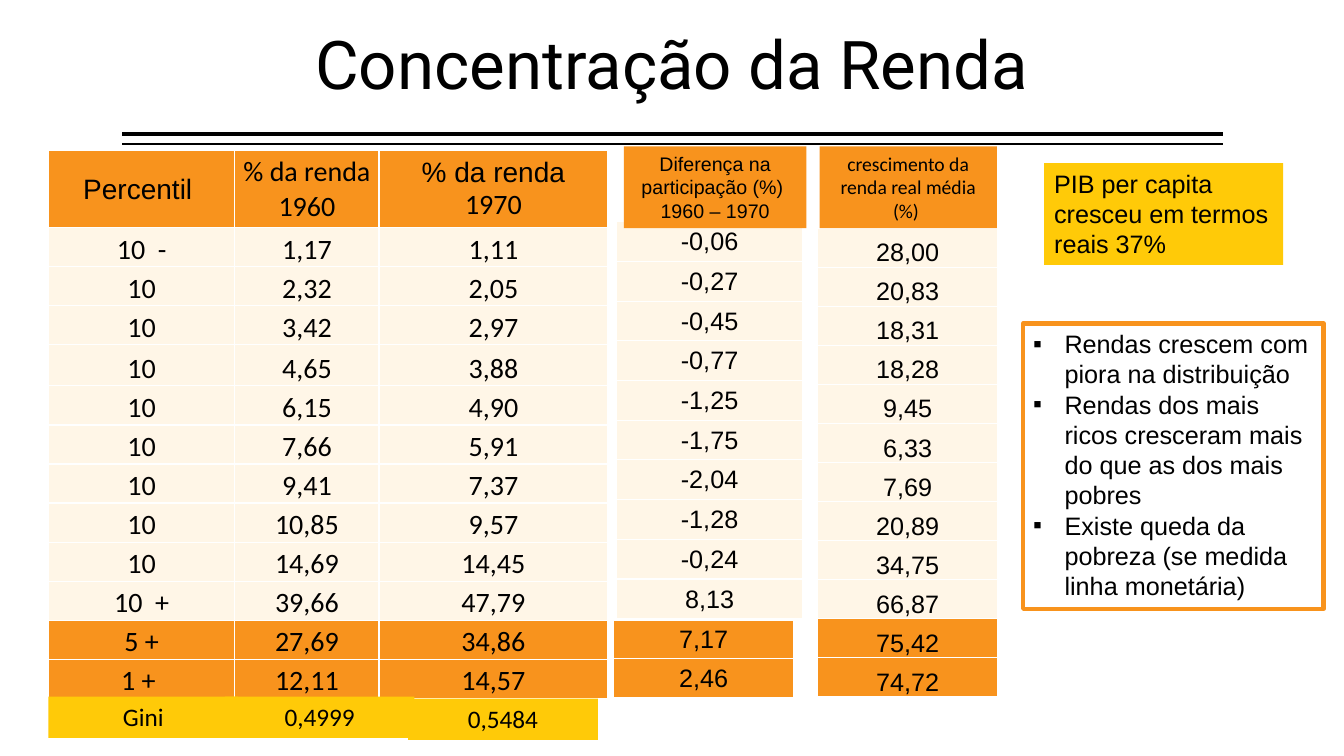
from lxml import etree
from pptx import Presentation
from pptx.dml.color import RGBColor
from pptx.enum.shapes import MSO_CONNECTOR, MSO_SHAPE
from pptx.enum.text import MSO_ANCHOR, MSO_AUTO_SIZE, PP_ALIGN
from pptx.oxml.ns import qn
from pptx.util import Pt

LEFT, CENTER = PP_ALIGN.LEFT, PP_ALIGN.CENTER
TOP, MIDDLE, BOTTOM = MSO_ANCHOR.TOP, MSO_ANCHOR.MIDDLE, MSO_ANCHOR.BOTTOM
RECTANGLE, STRAIGHT = MSO_SHAPE.RECTANGLE, MSO_CONNECTOR.STRAIGHT
GROW = MSO_AUTO_SIZE.SHAPE_TO_FIT_TEXT
BLACK, WHITE = "000000", "FFFFFF"
ORANGE, CREAM, YELLOW = "F8931D", "FFF6E7", "FFCA08"

TITLE = "Concentração da Renda"
HEADINGS = [["Percentil "], ["% da renda 1960"], ["% da renda", "1970"]]
HEADING_FONTS = [["Arial"], ["Calibri"], ["Arial", "Calibri"]]
SHARES = [
    ("10  -", "1,17", "1,11"),
    ("10", "2,32", "2,05"),
    ("10", "3,42", "2,97"),
    ("10", "4,65", "3,88"),
    ("10", "6,15", "4,90"),
    ("10", "7,66", "5,91"),
    ("10", "9,41", "7,37"),
    ("10", "10,85", "9,57"),
    ("10", "14,69", "14,45"),
    ("10  +", "39,66", "47,79"),
    ("5 +", "27,69", "34,86"),
    ("1 + ", "12,11", "14,57"),
]
DIFFERENCES = ["-0,06", "-0,27", "-0,45", "-0,77", "-1,25",
               "-1,75", "-2,04", "-1,28", "-0,24", "8,13"]
TOP_DIFFERENCES = ["7,17", "2,46"]
GROWTH = ["28,00", "20,83", "18,31", "18,28", "9,45", "6,33",
          "7,69", "20,89", "34,75", "66,87", "75,42", "74,72"]
DIFFERENCE_HEADING = ["Diferença na participação (%) ", "1960 – 1970"]
GROWTH_HEADING = ["crescimento da renda real média (%) "]
GINI = [("Gini", 34.6, 497.5), ("0,4999", 160.6, 497.5), ("0,5484", 291.6, 499)]
GDP_NOTE = ["PIB per capita cresceu em termos reais 37%"]
CONCLUSIONS = [
    "Rendas crescem com piora na distribuição",
    "Rendas dos mais ricos cresceram mais do que as dos mais pobres",
    "Existe queda da pobreza (se medida linha monetária)",
]
RULES = [(95.8, 3), (103, 1)]
DECILES = 10


def color(value):
    return RGBColor.from_string(value)


def write(frame, lines, size=18, fonts=("Arial",), align=CENTER, bullet=None, spacing=None):
    for index, line in enumerate(lines):
        para = frame.paragraphs[0] if index == 0 else frame.add_paragraph()
        para.alignment = align
        if spacing:
            para.line_spacing = spacing
        if bullet:
            properties = para._p.get_or_add_pPr()
            properties.set("marL", str(Pt(22.5)))
            properties.set("indent", str(-Pt(22.5)))
            etree.SubElement(properties, qn("a:buFont"), typeface="Arial")
            etree.SubElement(properties, qn("a:buChar"), char=bullet)
        span = para.add_run()
        span.text = line
        span.font.size = Pt(size)
        span.font.name = fonts[min(index, len(fonts) - 1)]
        span.font.bold = False
        span.font.color.rgb = color(BLACK)


def add_box(page, place, lines, fill=None, line=None, **text_format):
    box = page.shapes.add_shape(RECTANGLE, *map(Pt, place))
    box.shadow.inherit = False
    if fill:
        box.fill.solid()
        box.fill.fore_color.rgb = color(fill)
    else:
        box.fill.background()
    if line:
        box.line.color.rgb = color(line)
        box.line.width = Pt(3)
    else:
        box.line.fill.background()
    frame = box.text_frame
    frame.word_wrap = True
    frame.auto_size = GROW
    frame.vertical_anchor = TOP
    write(frame, lines, **text_format)


def format_cell(cell, lines, fill, anchor, **text_format):
    cell.margin_left = cell.margin_right = cell.margin_top = Pt(0.7)
    cell.margin_bottom = 0
    cell.vertical_anchor = anchor
    properties = cell._tc.get_or_add_tcPr()
    for side in ("a:lnL", "a:lnR", "a:lnT", "a:lnB"):
        border = etree.SubElement(properties, qn(side), w=str(Pt(1)))
        paint = etree.SubElement(border, qn("a:solidFill"))
        etree.SubElement(paint, qn("a:srgbClr"), val=WHITE)
    cell.fill.solid()
    cell.fill.fore_color.rgb = color(fill)
    write(cell.text_frame, lines, **text_format)


def add_grid(page, left, top, widths, heights):
    holder = page.shapes.add_table(len(heights), len(widths), Pt(left), Pt(top),
                                   Pt(sum(widths)), Pt(sum(heights)))
    table = holder.table
    table.first_row = table.horz_banding = False
    for column, width in zip(table.columns, widths):
        column.width = Pt(width)
    for row, height in zip(table.rows, heights):
        row.height = Pt(height)
    return table


def add_column(page, left, top, width, height, values, fills, anchor):
    table = add_grid(page, left, top, [width], [height] * len(values))
    for index, (value, fill) in enumerate(zip(values, fills)):
        format_cell(table.cell(index, 0), [value], fill, anchor)


def add_shares(page):
    heights = [55.4] + [27.9] * len(SHARES)
    heights[4] = 29.3
    table = add_grid(page, 34.6, 107.3, [133.2, 103, 163.4], heights)
    for column, (lines, fonts) in enumerate(zip(HEADINGS, HEADING_FONTS)):
        format_cell(table.cell(0, column), lines, ORANGE, MIDDLE, size=20, fonts=fonts)
    for row, (values, fill) in enumerate(zip(SHARES, row_fills), 1):
        for column, value in enumerate(values):
            format_cell(table.cell(row, column), [value], fill, BOTTOM,
                        size=20, fonts=["Calibri"])


deck = Presentation()
deck.slide_width, deck.slide_height = Pt(960), Pt(540)
page = deck.slides.add_slide(deck.slide_layouts[6])
row_fills = [CREAM] * DECILES + [ORANGE] * (len(SHARES) - DECILES)

for height, width in RULES:
    rule = page.shapes.add_connector(STRAIGHT, Pt(873.4), Pt(height), Pt(87.1), Pt(height))
    rule.line.color.rgb = color(BLACK)
    rule.line.width = Pt(width)
    etree.SubElement(rule._element.spPr, qn("a:effectLst"))

add_shares(page)
add_column(page, 440.6, 158.4, 132.5, 28.37, DIFFERENCES, row_fills, MIDDLE)
add_column(page, 438.5, 442.8, 128.2, 27.6, TOP_DIFFERENCES, row_fills[DECILES:], MIDDLE)
add_box(page, (445.7, 104.6, 130.3, 58.3), DIFFERENCE_HEADING, fill=ORANGE, size=14)
add_column(page, 583.9, 162.9, 128.9, 27.9, GROWTH, row_fills, BOTTOM)
add_box(page, (585.4, 104.6, 126.7, 58.3), GROWTH_HEADING, fill=ORANGE,
        size=14, fonts=["Calibri"])
for label, left, top in GINI:
    add_box(page, (left, top, 135.4, 29.5), [label], fill=YELLOW, fonts=["Calibri"])
add_box(page, (730.8, 231.1, 214.6, 203.8), CONCLUSIONS, line=ORANGE, align=LEFT, bullet="▪")
add_box(page, (745.9, 116.6, 170.6, 72.7), GDP_NOTE, fill=YELLOW, align=LEFT)

title = page.shapes.add_textbox(Pt(72), Pt(0), Pt(816), Pt(96.5)).text_frame
title.word_wrap = True
title.vertical_anchor = MIDDLE
write(title, [TITLE], size=48, fonts=["Roboto"], spacing=0.9)

deck.save("out.pptx")
